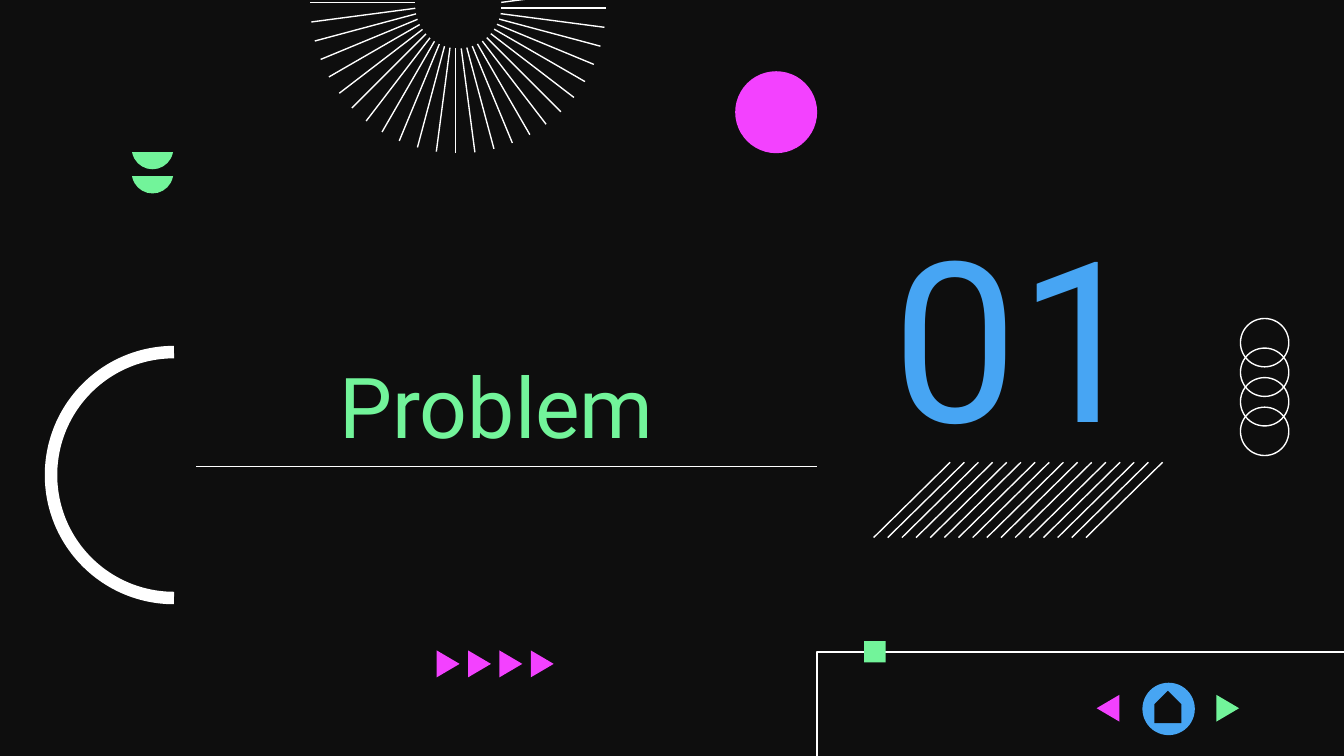
"""Build the dark section slide for the Problem chapter."""
from math import cos, radians, sin

from lxml import etree
from pptx import Presentation
from pptx import util as u
from pptx.dml.color import RGBColor
from pptx.enum import shapes, text
from pptx.oxml.ns import qn

COLORS = {"dark": "0E0E0E", "white": "FFFFFF", "pink": "F341FF", "green": "72F49A", "blue": "47A5F3"}
FONT = "Roboto"
KINDS = shapes.MSO_SHAPE
THIN = 0.75
PAGE_WIDTH = 10
PAGE_HEIGHT = PAGE_WIDTH * 9 / 16

TITLE = {"words": "Problem", "area": (1.23, 2.64, 4.93, 0.75), "size": 45, "color": "green"}
NUMBER = {"words": "01", "area": (6.17, 1.48, 2.82, 1.75), "size": 120, "color": "blue"}

RINGS = {"left": 9.23, "top": 2.37, "size": 0.36, "span": 0.66, "count": 4}
HALF_DISCS = {"left": 0.98, "tops": (1.13, 0.95), "size": 0.31}
SUN = {"center": (3.41, 0.04), "inner": 0.32, "outer": 1.1, "shift": 0.02, "step": 7.5}
ARROWS = {"left": 3.25, "top": 4.84, "span": 0.7, "count": 4}
ARROW_SIZE = (0.17, 0.2)
HATCH = {"left": 6.5, "top": 3.44, "bottom": 4, "slant": 0.57, "span": 1.58, "count": 16}
FRAME = [(PAGE_WIDTH, 4.85), (6.08, 4.85), (6.08, PAGE_HEIGHT)]


def color(name):
    return RGBColor.from_string(COLORS[name])


def spread(start, span, count):
    return [start + span * index / (count - 1) for index in range(count)]


def paint(shape, fill=None, line=None, width=THIN):
    shape.shadow.inherit = False
    if fill:
        shape.fill.solid()
        shape.fill.fore_color.rgb = color(fill)
    else:
        shape.fill.background()
    if line:
        shape.line.color.rgb = color(line)
        shape.line.width = u.Pt(width)
    else:
        shape.line.fill.background()
    return shape


def add_shape(page, kind, area, **style):
    return paint(page.shapes.add_shape(kind, *map(u.Inches, area)), **style)


def add_path(page, points, close=True, **style):
    corners = [(u.Inches(x), u.Inches(y)) for x, y in points]
    builder = page.shapes.build_freeform(*corners[0])
    builder.add_line_segments(corners[1:], close=close)
    return paint(builder.convert_to_shape(), **style)


def add_line(page, start, end):
    line = page.shapes.add_connector(shapes.MSO_CONNECTOR.STRAIGHT, *map(u.Inches, start + end))
    line.line.color.rgb = color("white")
    line.line.width = u.Pt(THIN)
    etree.SubElement(line._element.spPr, qn("a:effectLst"))


def add_arrow(page, left, top, fill, direction=1):
    width, height = ARROW_SIZE
    back, tip = (left, left + width)[::direction]
    add_path(page, [(back, top), (tip, top + height / 2), (back, top + height)], fill=fill)


def write(box, words, area, size, color_name):
    box.left, box.top, box.width, box.height = map(u.Inches, area)
    frame = box.text_frame
    frame.word_wrap = True
    frame.auto_size = text.MSO_AUTO_SIZE.NONE
    frame.vertical_anchor = text.MSO_ANCHOR.TOP
    frame.margin_top = 0
    frame.margin_left = frame.margin_right = frame.margin_bottom = u.Inches(0.1)
    para = frame.paragraphs[0]
    para.alignment = text.PP_ALIGN.CENTER
    para.line_spacing = 1.0
    span = para.add_run()
    span.text = words
    span.font.name = FONT
    span.font.size = u.Pt(size)
    span.font.color.rgb = color(color_name)


def add_sun(page):
    center_x, center_y = SUN["center"]
    for index in range(-1, 25):
        angle = radians(index * SUN["step"])
        x = center_x - SUN["shift"] * sin(angle)
        y = center_y + SUN["shift"] * cos(angle)
        inner, outer = ((x + r * cos(angle), y + r * sin(angle)) for r in (SUN["inner"], SUN["outer"]))
        add_line(page, outer, inner)


def add_ornaments(page):
    for top in spread(RINGS["top"], RINGS["span"], RINGS["count"]):
        add_shape(page, KINDS.OVAL, (RINGS["left"], top, RINGS["size"], RINGS["size"]), line="white")
    add_shape(page, KINDS.OVAL, (5.47, 0.53, 0.61, 0.61), fill="pink")
    add_path(page, FRAME, close=False, line="white")
    add_shape(page, KINDS.RECTANGLE, (6.43, 4.77, 0.16, 0.16), fill="green")
    for left in spread(ARROWS["left"], ARROWS["span"], ARROWS["count"]):
        add_arrow(page, left, ARROWS["top"], "pink")
    for top in HALF_DISCS["tops"]:
        area = (HALF_DISCS["left"], top, HALF_DISCS["size"], HALF_DISCS["size"])
        disc = add_shape(page, KINDS.CHORD, area, fill="green")
        disc.adjustments[0], disc.adjustments[1] = 6, 102
    add_sun(page)
    add_line(page, (1.46, 3.47), (6.08, 3.47))
    arc = add_shape(page, KINDS.ARC, (0.38, 2.62, 1.83, 1.83), line="white", width=6.69)
    arc.adjustments[0], arc.adjustments[1] = 54, 162
    for left in spread(HATCH["left"], HATCH["span"], HATCH["count"]):
        add_line(page, (left + HATCH["slant"], HATCH["top"]), (left, HATCH["bottom"]))


def add_navigation(page):
    add_shape(page, KINDS.OVAL, (8.5, 5.08, 0.39, 0.39), fill="blue")
    home = add_shape(page, KINDS.PENTAGON, (8.57, 5.16, 0.24, 0.2), fill="dark")
    home.rotation = 270
    add_arrow(page, 8.16, 5.17, "pink", direction=-1)
    add_arrow(page, 9.05, 5.17, "green")


def main():
    deck = Presentation()
    deck.slide_width, deck.slide_height = u.Inches(PAGE_WIDTH), u.Inches(PAGE_HEIGHT)
    page = deck.slides.add_slide(deck.slide_layouts[5])
    page.background.fill.solid()
    page.background.fill.fore_color.rgb = color("dark")
    add_ornaments(page)
    number_box = page.shapes.add_textbox(0, 0, 0, 0)
    for box, content in ((page.shapes.title, TITLE), (number_box, NUMBER)):
        write(box, content["words"], content["area"], content["size"], content["color"])
    add_navigation(page)
    deck.save("out.pptx")


if __name__ == "__main__":
    main()
